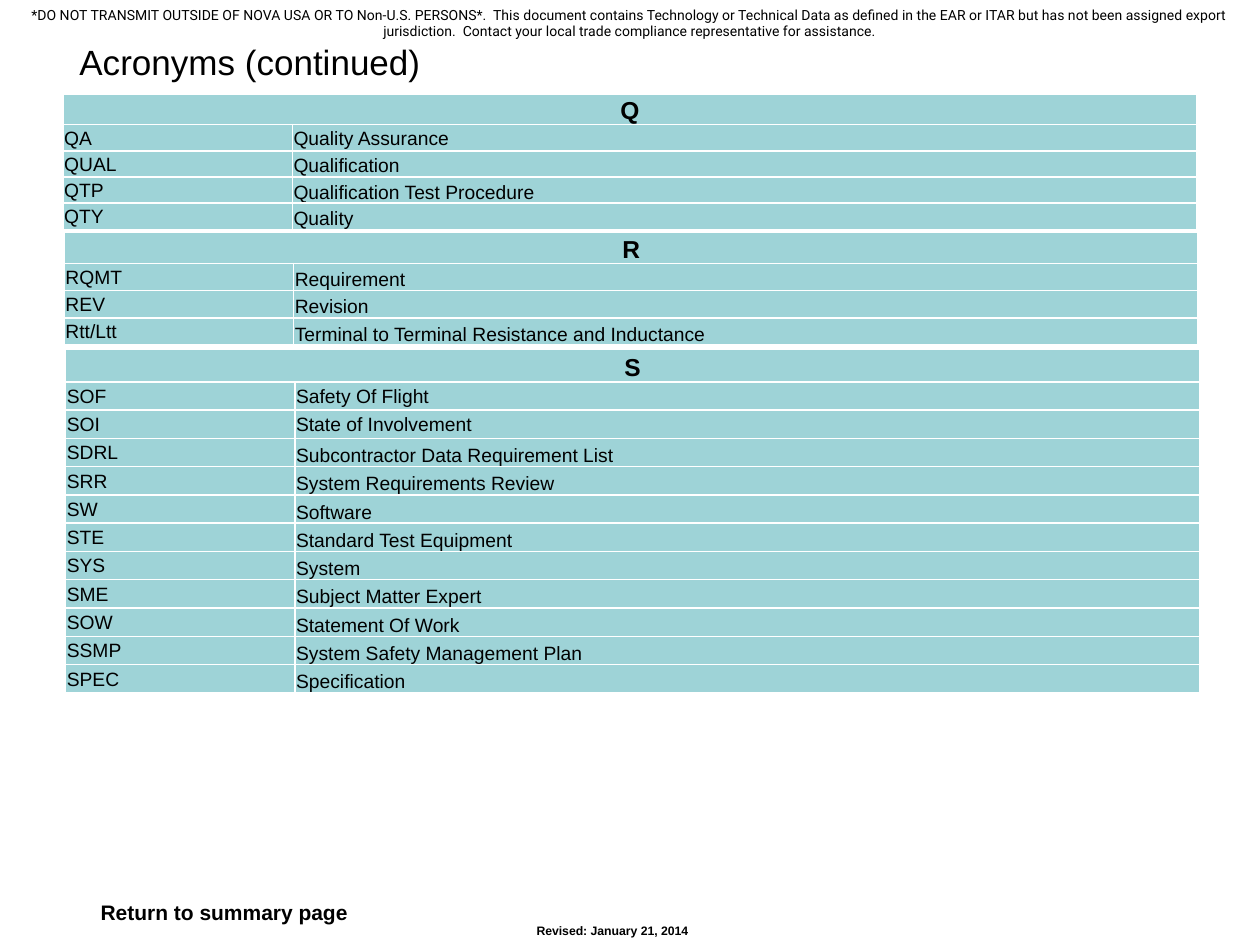
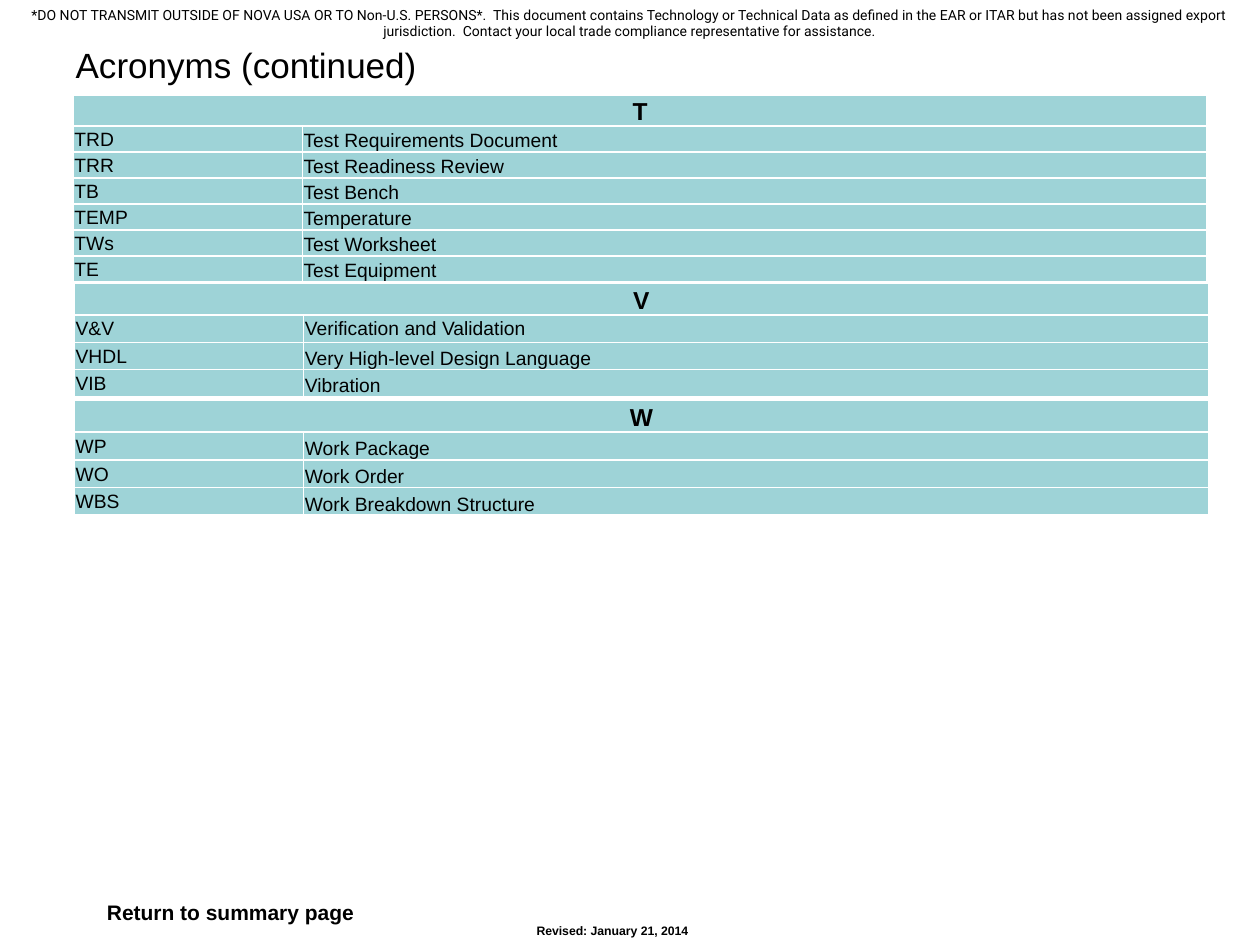
from dataclasses import dataclass

from lxml.etree import SubElement
from pptx import Presentation
from pptx.dml.color import RGBColor
from pptx.enum.text import MSO_ANCHOR, MSO_AUTO_SIZE, PP_ALIGN
from pptx.oxml.ns import qn
from pptx.util import Inches, Pt

BANNER = (
    "*DO NOT TRANSMIT OUTSIDE OF NOVA USA OR TO Non-U.S. PERSONS*.  This document "
    "contains Technology or Technical Data as defined in the EAR or ITAR but has not "
    "been assigned export jurisdiction.  Contact your local trade compliance "
    "representative for assistance."
)
TITLE = "Acronyms (continued)"
RETURN_LABEL = "Return to summary page"
REVISION = "Revised: January 21, 2014"

# Boxes are (left, top, width, height) in inches.
# Each group is (letter, (left, top), header height, total height, entries).
SLIDES = [
    {
        "title_box": (0.53, 0.29, 9, 0.39),
        "return_left": 0.69,
        "groups": [
            ("Q", (0.5, 0.75), 0.24, 1.07, [
                ("QA", "Quality Assurance"),
                ("QUAL", "Qualification"),
                ("QTP", "Qualification Test Procedure"),
                ("QTY", "Quality"),
            ]),
            ("R", (0.51, 1.84), 0.25, 0.9, [
                ("RQMT", "Requirement"),
                ("REV", "Revision"),
                ("Rtt/Ltt", "Terminal to Terminal Resistance and Inductance"),
            ]),
            ("S", (0.52, 2.77), 0.26, 2.73, [
                ("SOF", "Safety Of Flight"),
                ("SOI", "State of Involvement"),
                ("SDRL", "Subcontractor Data Requirement List"),
                ("SRR", "System Requirements Review"),
                ("SW", "Software"),
                ("STE", "Standard Test Equipment"),
                ("SYS", "System"),
                ("SME", "Subject Matter Expert"),
                ("SOW", "Statement Of Work"),
                ("SSMP", "System Safety Management Plan"),
                ("SPEC", "Specification"),
            ]),
        ],
    },
    {
        "title_box": (0.5, 0.3, 9, 0.42),
        "return_left": 0.74,
        "groups": [
            ("T", (0.58, 0.76), 0.24, 1.48, [
                ("TRD", "Test Requirements Document"),
                ("TRR", "Test Readiness Review"),
                ("TB", "Test Bench"),
                ("TEMP", "Temperature"),
                ("TWs", "Test Worksheet"),
                ("TE", "Test Equipment"),
            ]),
            ("V", (0.59, 2.25), 0.25, 0.9, [
                ("V&V", "Verification and Validation"),
                ("VHDL", "Very High-level Design Language"),
                ("VIB", "Vibration"),
            ]),
            ("W", (0.59, 3.18), 0.25, 0.91, [
                ("WP", "Work Package"),
                ("WO", "Work Order"),
                ("WBS", "Work Breakdown Structure"),
            ]),
        ],
    },
]
CENTERED_MEANINGS = {"QA", "SOF", "SOI", "V&V"}
COLUMN_WIDTHS = (1.82, 7.18)


@dataclass(frozen=True)
class Theme:
    text: RGBColor = RGBColor(0, 0, 0)
    cell: RGBColor = RGBColor(0x9E, 0xD3, 0xD7)
    border: str = "FFFFFF"
    font: str = "Arial"
    banner_font: str = "Roboto"
    title_size: int = 20
    letter_size: int = 14
    return_size: int = 12
    entry_size: int = 11
    banner_size: int = 8
    revision_size: int = 7


THEME = Theme()


def write_text(frame, text, size, font=THEME.font, bold=False, align=PP_ALIGN.LEFT):
    paragraph = frame.paragraphs[0]
    paragraph.alignment = align
    run = paragraph.add_run()
    run.text = text
    run.font.name = font
    run.font.size = Pt(size)
    run.font.bold = bold
    run.font.color.rgb = THEME.text


def add_text_box(slide, box, text, size, wrap=False, **text_format):
    text_box = slide.shapes.add_textbox(*map(Inches, box))
    frame = text_box.text_frame
    frame.word_wrap = wrap
    frame.auto_size = MSO_AUTO_SIZE.SHAPE_TO_FIT_TEXT
    write_text(frame, text, size, **text_format)
    return text_box


def format_cell(cell, anchor):
    """Set margins, borders and fill; borders must come before the fill."""
    cell.margin_left = cell.margin_right = cell.margin_top = Inches(0.01)
    cell.margin_bottom = 0
    cell.vertical_anchor = anchor
    properties = cell._tc.get_or_add_tcPr()
    for side in ("a:lnL", "a:lnR", "a:lnT", "a:lnB"):
        line = SubElement(properties, qn(side), w=str(Pt(1)))
        line_fill = SubElement(line, qn("a:solidFill"))
        SubElement(line_fill, qn("a:srgbClr"), val=THEME.border)
    cell.fill.solid()
    cell.fill.fore_color.rgb = THEME.cell


def add_acronym_table(slide, letter, position, header_height, height, entries):
    table = slide.shapes.add_table(
        len(entries) + 1, len(COLUMN_WIDTHS),
        *map(Inches, (*position, sum(COLUMN_WIDTHS), height)),
    ).table
    table.first_row = table.horz_banding = False
    for column, width in zip(table.columns, COLUMN_WIDTHS):
        column.width = Inches(width)
    entry_height = (height - header_height) / len(entries)
    for index, row in enumerate(table.rows):
        row.height = Inches(entry_height if index else header_height)

    header = table.cell(0, 0)
    header.merge(table.cell(0, 1))
    for cell in table.rows[0].cells:
        format_cell(cell, MSO_ANCHOR.BOTTOM)
    write_text(header.text_frame, letter, THEME.letter_size, bold=True,
               align=PP_ALIGN.CENTER)

    for row_index, (acronym, meaning) in enumerate(entries, start=1):
        centered = acronym in CENTERED_MEANINGS
        meaning_anchor = MSO_ANCHOR.MIDDLE if centered else MSO_ANCHOR.BOTTOM
        columns = ((acronym, MSO_ANCHOR.MIDDLE), (meaning, meaning_anchor))
        for column_index, (text, anchor) in enumerate(columns):
            cell = table.cell(row_index, column_index)
            format_cell(cell, anchor)
            write_text(cell.text_frame, text, THEME.entry_size)


def add_title(slide, box):
    title = slide.shapes.title
    title.left, title.top, title.width, title.height = map(Inches, box)
    title.text_frame.auto_size = MSO_AUTO_SIZE.NONE
    title.text_frame.vertical_anchor = MSO_ANCHOR.MIDDLE
    write_text(title.text_frame, TITLE, THEME.title_size)


def add_layout_banner(layout, slide):
    """Build the banner on a slide, then move it to the layout all slides share."""
    for placeholder in list(layout.placeholders):
        if placeholder.placeholder_format.idx != 0:
            layout.shapes.element.remove(placeholder.element)
    banner = add_text_box(slide, (0, 0, 10, 0.37), BANNER, THEME.banner_size, wrap=True,
                          font=THEME.banner_font, align=PP_ALIGN.CENTER)
    layout.shapes.element.append(banner.element)


def main():
    presentation = Presentation()
    presentation.slide_width, presentation.slide_height = Inches(10), Inches(7.5)
    layout = presentation.slide_layouts.get_by_name("Title Only")
    for content in SLIDES:
        slide = presentation.slides.add_slide(layout)
        add_title(slide, content["title_box"])
        for group in content["groups"]:
            add_acronym_table(slide, *group)
        add_text_box(slide, (content["return_left"], 7.09, 2.18, 0.3), RETURN_LABEL,
                     THEME.return_size, bold=True, align=PP_ALIGN.CENTER)
        add_text_box(slide, (4.16, 7.28, 1.42, 0.22), REVISION, THEME.revision_size,
                     bold=True)
    add_layout_banner(layout, presentation.slides[0])
    presentation.save("out.pptx")


if __name__ == "__main__":
    main()
